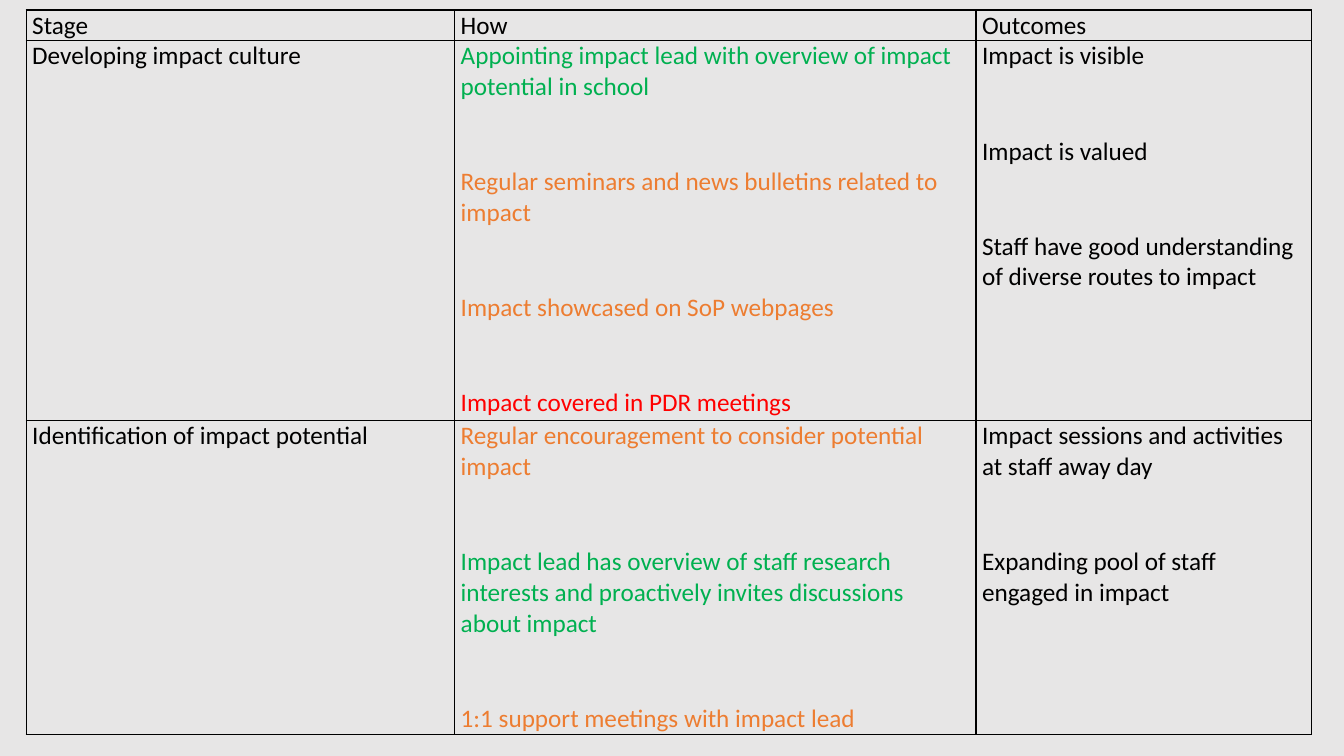
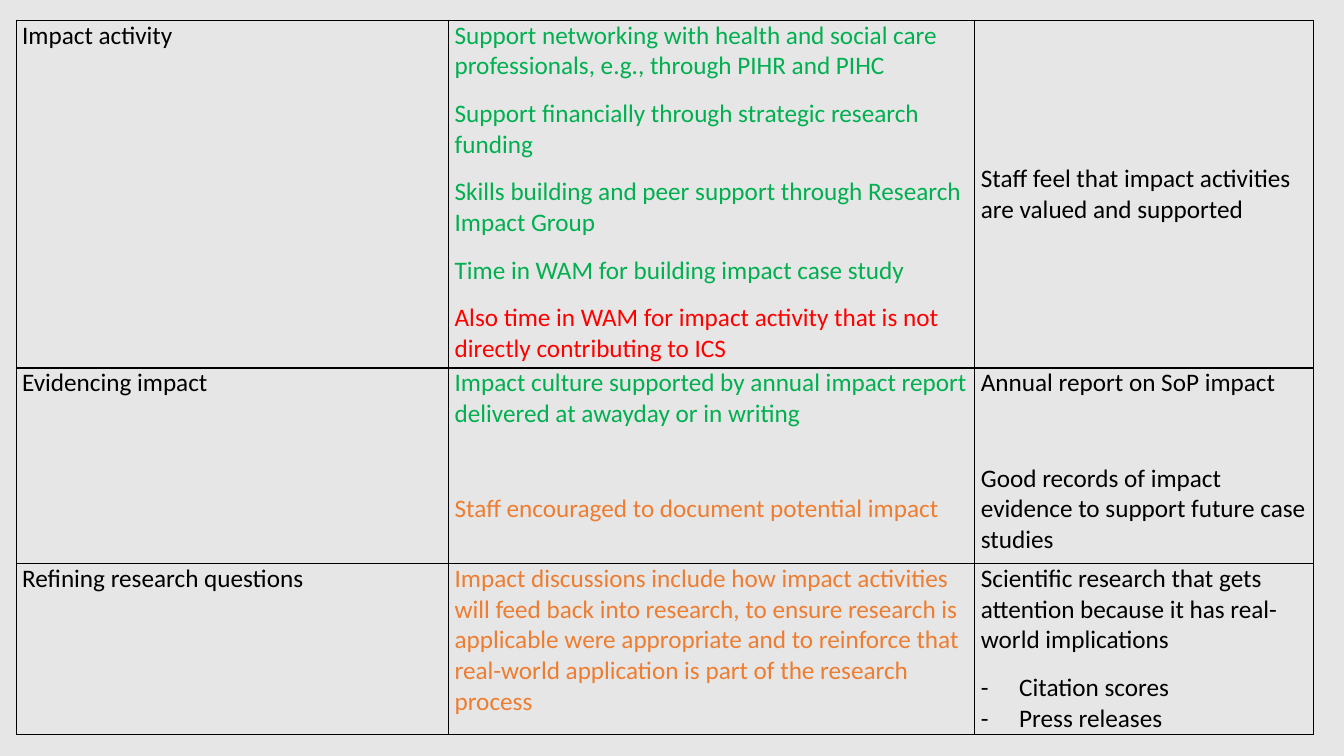
"""Two slides of impact planning tables, coloured by progress."""
from lxml import etree
from pptx import Presentation
from pptx import util as u
from pptx.dml.color import RGBColor
from pptx.enum import text
from pptx.oxml import ns

WIDTH, HEIGHT = 13.33, 7.5
PAPER = RGBColor(0xE7, 0xE6, 0xE6)
BLACK = RGBColor(0, 0, 0)
GREEN = RGBColor(0x00, 0xB0, 0x50)
ORANGE = RGBColor(0xED, 0x7D, 0x31)
RED = RGBColor(0xFF, 0, 0)
FONT, SIZE = "Calibri", 18
TIGHT, WIDE = 12, 46
COLUMN_SHARES = (6 / 18, 7.3 / 18, 4.7 / 18)
INSET, INDENT = 0.06, 0.38
BULLET = "- "

# Each row: height, gap between paragraphs, then stage, how and outcomes.
CULTURE_ROWS = [
    (0.3, TIGHT, ["Stage"], [("How", BLACK)], ["Outcomes"]),
    (3.77, WIDE, ["Developing impact culture"],
     [("Appointing impact lead with overview of impact potential in school", GREEN),
      ("Regular seminars and news bulletins related to impact", ORANGE),
      ("Impact showcased on SoP webpages", ORANGE),
      ("Impact covered in PDR meetings", RED)],
     ["Impact is visible", "Impact is valued",
      "Staff have good understanding of diverse routes to impact"]),
    (3.11, WIDE, ["Identification of impact potential"],
     [("Regular encouragement to consider potential impact", ORANGE),
      ("Impact lead has overview of staff research interests and proactively "
       "invites discussions about impact", GREEN),
      ("1:1 support meetings with impact lead", ORANGE)],
     ["Impact sessions and activities at staff away day",
      "Expanding pool of staff engaged in impact"]),
]
ACTIVITY_ROWS = [
    (3.45, TIGHT, ["Impact activity"],
     [("Support networking with health and social care professionals, e.g., "
       "through PIHR and PIHC", GREEN),
      ("Support financially through strategic research funding", GREEN),
      ("Skills building and peer support through Research Impact Group", GREEN),
      ("Time in WAM for building impact case study", GREEN),
      ("Also time in WAM for impact activity that is not directly "
       "contributing to ICS", RED)],
     ["Staff feel that impact activities are valued and supported"]),
    (1.94, WIDE, ["Evidencing impact"],
     [("Impact culture supported by annual impact report delivered at awayday "
       "or in writing", GREEN),
      ("Staff encouraged to document potential impact", ORANGE)],
     ["Annual report on SoP impact",
      "Good records of impact evidence to support future case studies"]),
    (1.7, TIGHT, ["Refining research questions"],
     [("Impact discussions include how impact activities will feed back into "
       "research, to ensure research is applicable were appropriate and to "
       "reinforce that real-world application is part of the research process",
       ORANGE)],
     ["Scientific research that gets attention because it has real-world implications",
      "- Citation scores", "- Press releases"]),
]


def set_borders(cell):
    """Give a cell a thin black line on every side."""
    tc_pr = cell._tc.get_or_add_tcPr()
    for side in ("lnL", "lnR", "lnT", "lnB"):
        ln = etree.SubElement(tc_pr, ns.qn(f"a:{side}"), w=str(u.Pt(1)))
        fill = etree.SubElement(ln, ns.qn("a:solidFill"))
        etree.SubElement(fill, ns.qn("a:srgbClr"), val=str(BLACK))


def set_bullet(p):
    """Turn a paragraph into a hanging dash item."""
    p_pr = p._p.get_or_add_pPr()
    p_pr.set("marL", str(u.Inches(INDENT)))
    p_pr.set("indent", str(-u.Inches(INDENT)))
    etree.SubElement(p_pr, ns.qn("a:buFont"), typeface=FONT)
    etree.SubElement(p_pr, ns.qn("a:buChar"), char=BULLET.strip())


def fill_cell(cell, items, gap):
    """Style a cell and write its paragraphs, plain or with a colour."""
    set_borders(cell)
    cell.fill.background()
    cell.margin_left = cell.margin_right = u.Inches(INSET)
    cell.margin_top = cell.margin_bottom = 0
    tf = cell.text_frame
    after_bullet = False
    for i, item in enumerate(items):
        words, colour = (item, BLACK) if isinstance(item, str) else item
        is_bullet = words.startswith(BULLET)
        p = tf.paragraphs[0] if i == 0 else tf.add_paragraph()
        p.space_before = u.Pt(0 if i == 0 or after_bullet else gap)
        if is_bullet:
            set_bullet(p)
        r = p.add_run()
        r.text = words.removeprefix(BULLET)
        for font in (p.font, r.font):
            font.name, font.size = FONT, u.Pt(SIZE)
            font.color.rgb = colour
        after_bullet = is_bullet


def add_plan(prs, left, top, width, rows):
    """Add a slide with one planning table and return the table."""
    s = prs.slides.add_slide(prs.slide_layouts[6])
    height = sum(row[0] for row in rows)
    box = [u.Inches(v) for v in (left, top, width, height)]
    table = s.shapes.add_table(len(rows), len(COLUMN_SHARES), *box).table
    table.first_row = table.horz_banding = False
    for column, share in zip(table.columns, COLUMN_SHARES):
        column.width = u.Inches(width * share)
    for i, (row_height, gap, *cells) in enumerate(rows):
        table.rows[i].height = u.Inches(row_height)
        for j, items in enumerate(cells):
            fill_cell(table.cell(i, j), items, gap)
    return table


def main():
    """Build and save the presentation."""
    prs = Presentation()
    prs.slide_width, prs.slide_height = u.Inches(WIDTH), u.Inches(HEIGHT)
    background = prs.slide_master.background.fill
    background.solid()
    background.fore_color.rgb = PAPER
    add_plan(prs, 0.26, 0.1, 12.75, CULTURE_ROWS)
    activity = add_plan(prs, 0.16, 0.2, 12.87, ACTIVITY_ROWS)
    activity.cell(0, 2).vertical_anchor = text.MSO_ANCHOR.MIDDLE
    prs.save("out.pptx")


if __name__ == "__main__":
    main()
